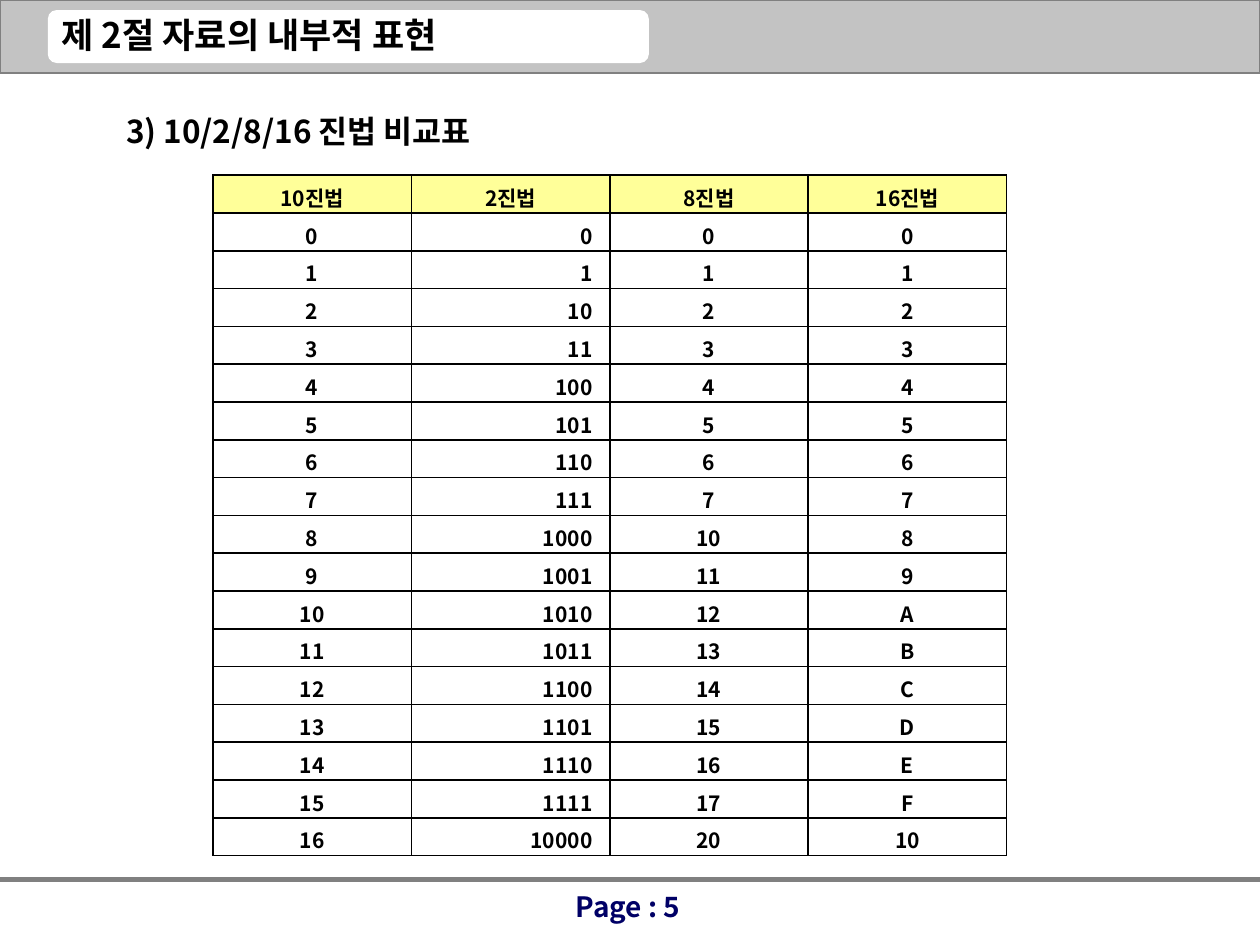
import pptx
import pptx.util
import pptx.dml.color
import pptx.enum.shapes
import pptx.enum.text
import pptx.oxml
import pptx.oxml.ns

Inches = pptx.util.Inches
Pt = pptx.util.Pt
RGBColor = pptx.dml.color.RGBColor
Align = pptx.enum.text.PP_ALIGN
Kind = pptx.enum.shapes.MSO_SHAPE
qn = pptx.oxml.ns.qn

BLACK = RGBColor(0x00, 0x00, 0x00)
WHITE = RGBColor(0xFF, 0xFF, 0xFF)
SILVER = RGBColor(0xC3, 0xC3, 0xC3)
GRAY = RGBColor(0x80, 0x80, 0x80)
NAVY = RGBColor(0x00, 0x00, 0x66)
YELLOW = RGBColor(0xFF, 0xFF, 0x99)
FONT = "Noto Sans CJK KR"


def write(frame, text, size=12, color=BLACK, bold=True, align=Align.LEFT):
    para = frame.paragraphs[0]
    para.alignment = align
    run = para.add_run()
    run.text = text
    font = run.font
    font.name = FONT
    font.size = Pt(size)
    font.bold = bold
    font.color.rgb = color
    east = pptx.oxml.parse_xml(
        f'<a:ea {pptx.oxml.ns.nsdecls("a")} typeface="{FONT}"/>')
    font._element.find(qn("a:latin")).addnext(east)


class Page:
    def __init__(self, slide, edge=BLACK, width=1):
        self.slide = slide
        self.edge = edge
        self.width = width

    def title(self, text, box, **style):
        shape = self.slide.shapes.title
        shape.left, shape.top, shape.width, shape.height = map(Inches, box)
        frame = shape.text_frame
        frame.word_wrap = False
        frame.vertical_anchor = pptx.enum.text.MSO_ANCHOR.TOP
        frame.auto_size = pptx.enum.text.MSO_AUTO_SIZE.SHAPE_TO_FIT_TEXT
        write(frame, text, **style)

    def label(self, text, box, wrap=True, **style):
        frame = self.slide.shapes.add_textbox(*map(Inches, box)).text_frame
        frame.word_wrap = wrap
        if not wrap:
            frame.auto_size = pptx.enum.text.MSO_AUTO_SIZE.SHAPE_TO_FIT_TEXT
        write(frame, text, **style)

    def block(self, kind, box, fill, edge=None):
        shape = self.slide.shapes.add_shape(kind, *map(Inches, box))
        shape.shadow.inherit = False
        shape.fill.solid()
        shape.fill.fore_color.rgb = fill
        if edge is None:
            shape.line.fill.background()
        else:
            shape.line.color.rgb = edge
            shape.line.width = Pt(0.75)

    def rule(self, top, color, width):
        line = self.slide.shapes.add_connector(
            pptx.enum.shapes.MSO_CONNECTOR.STRAIGHT,
            Inches(0), Inches(top), Inches(10), Inches(top))
        line.line.color.rgb = color
        line.line.width = Pt(width)
        line._element.spPr.append(pptx.oxml.parse_xml(
            f'<a:effectLst {pptx.oxml.ns.nsdecls("a")}/>'))

    def border(self, cell):
        props = cell._tc.get_or_add_tcPr()
        for side in ("lnL", "lnR", "lnT", "lnB"):
            props.append(pptx.oxml.parse_xml(
                f'<a:{side} {pptx.oxml.ns.nsdecls("a")} w="{Pt(self.width)}">'
                f'<a:solidFill><a:srgbClr val="{self.edge}"/></a:solidFill>'
                f'</a:{side}>'))

    def table(self, rows, box, aligns):
        grid = self.slide.shapes.add_table(
            len(rows), len(rows[0]), *map(Inches, box)).table
        grid.first_row = False
        grid.horz_banding = False
        for y, row in enumerate(rows):
            for x, text in enumerate(row):
                cell = grid.cell(y, x)
                cell.vertical_anchor = pptx.enum.text.MSO_ANCHOR.MIDDLE
                cell.margin_top = Inches(0.05)
                cell.margin_bottom = Inches(0)
                self.border(cell)
                if y == 0:
                    cell.fill.solid()
                    cell.fill.fore_color.rgb = YELLOW
                else:
                    cell.fill.background()
                align = Align.CENTER if y == 0 else aligns[x]
                write(cell.text_frame, text, align=align)


def main():
    deck = pptx.Presentation()
    deck.slide_width = Inches(10)
    deck.slide_height = Inches(7.5)
    page = Page(deck.slides.add_slide(deck.slide_layouts[5]))

    page.block(Kind.RECTANGLE, (0, 0, 10, 0.58), SILVER, GRAY)
    page.rule(6.98, GRAY, 3)
    page.block(Kind.ROUNDED_RECTANGLE, (0.38, 0.08, 4.77, 0.42), WHITE)
    page.label("제 2절 자료의 내부적 표현", (0.39, 0.06, 3.44, 0.43),
               wrap=False, size=20)
    page.label("Page : 5", (3.82, 7.01, 2.33, 0.52),
               size=16, color=NAVY, align=Align.CENTER)

    heads = [f"{base}진법" for base in (10, 2, 8, 16)]
    rows = [[f"{n}", f"{n:b} ", f"{n:o}", f"{n:X}"] for n in range(17)]
    aligns = (Align.CENTER, Align.RIGHT, Align.CENTER, Align.CENTER)
    page.table([heads] + rows, (1.69, 1.39, 6.3, 5.4), aligns)
    page.title("3) 10/2/8/16 진법 비교표", (0.9, 0.84, 3.05, 0.4), size=18)

    deck.save("out.pptx")


if __name__ == "__main__":
    main()
